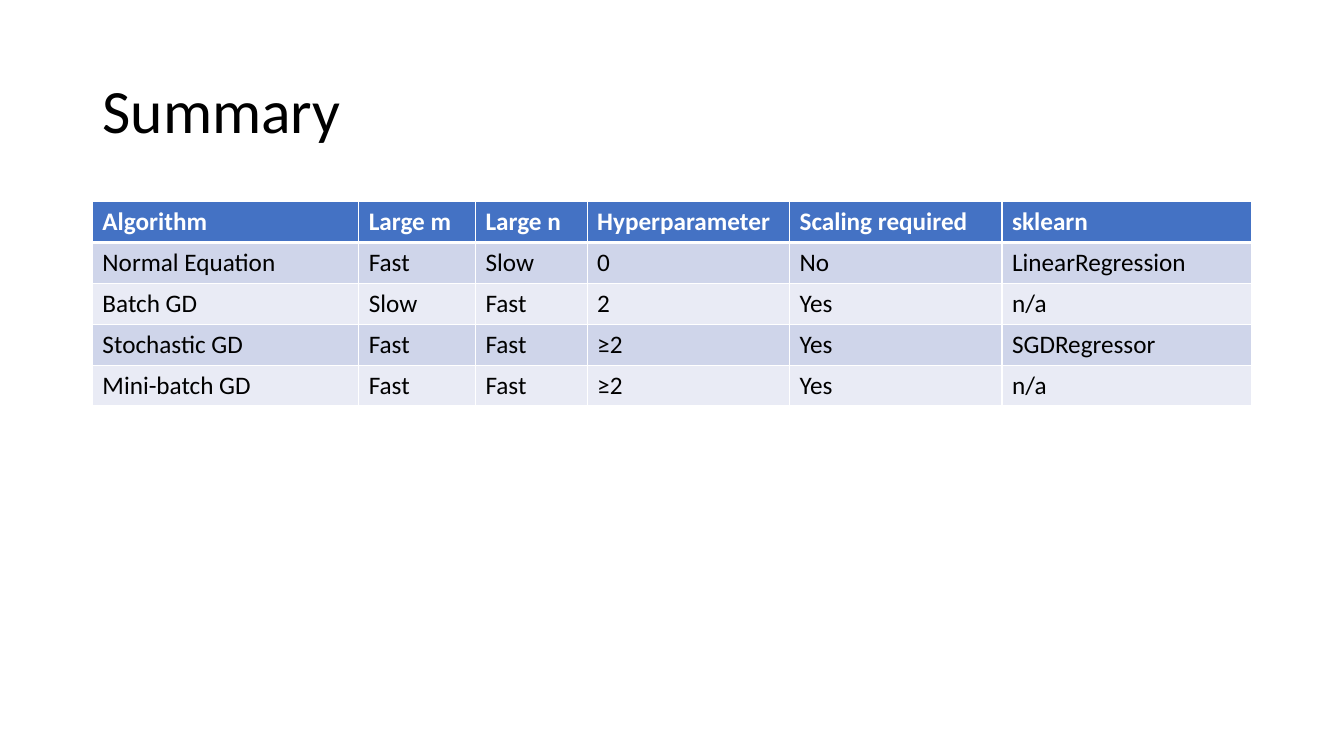
from dataclasses import dataclass

from lxml import etree
from pptx import Presentation
from pptx.dml.color import RGBColor
from pptx.enum.text import MSO_ANCHOR, MSO_AUTO_SIZE, PP_ALIGN
from pptx.oxml.ns import qn
from pptx.util import Inches, Pt

LEFT = PP_ALIGN.LEFT
MIDDLE = MSO_ANCHOR.MIDDLE
NO_FIT = MSO_AUTO_SIZE.NONE
TITLE_ONLY = 5


@dataclass(frozen=True)
class Theme:
    font: str = "Calibri"
    title_size: int = 44
    table_size: int = 18
    text: str = "000000"
    white: str = "FFFFFF"
    header: str = "4472C4"
    bands: tuple = ("CFD5EA", "E9EBF5")
    thin: int = 1
    thick: int = 3


def write(tf, text, *, font, size, color, bold=False, spacing=None):
    """Fill a text frame with one left-aligned, formatted paragraph."""
    p = tf.paragraphs[0]
    p.alignment = LEFT
    if spacing:
        p.line_spacing = spacing
    r = p.add_run()
    r.text = text
    r.font.name = font
    r.font.size = Pt(size)
    r.font.bold = bold
    r.font.color.rgb = RGBColor.from_string(color)


def add_border(cell, side, color, width):
    """Draw one side of a cell; call before the cell's fill is set."""
    tcPr = cell._tc.get_or_add_tcPr()
    ln = etree.SubElement(tcPr, qn(f"a:ln{side}"), w=str(Pt(width)))
    fill = etree.SubElement(ln, qn("a:solidFill"))
    etree.SubElement(fill, qn("a:srgbClr"), val=color)


class Deck:
    """Style and current slide, measured on a grid of 160 columns by 90 rows."""

    COLUMNS, ROWS = 160, 90

    def __init__(self, prs, theme):
        self.prs, self.theme = prs, theme
        self.slide = prs.slides.add_slide(prs.slide_layouts[TITLE_ONLY])

    def x(self, columns):
        return round(self.prs.slide_width * columns / self.COLUMNS)

    def y(self, rows):
        return round(self.prs.slide_height * rows / self.ROWS)

    def title(self, text, left, top, width, height):
        sp = self.slide.shapes.title
        sp.left, sp.top = self.x(left), self.y(top)
        sp.width, sp.height = self.x(width), self.y(height)
        tf = sp.text_frame
        tf.auto_size = NO_FIT
        tf.vertical_anchor = MIDDLE
        write(tf, text, font=self.theme.font, size=self.theme.title_size,
              color=self.theme.text, spacing=0.9)

    def table(self, rows, left, top, widths, row_height):
        frame = self.slide.shapes.add_table(
            len(rows), len(widths), self.x(left), self.y(top),
            self.x(sum(widths)), self.y(row_height * len(rows)))
        table = frame.table
        for column, width in zip(table.columns, widths):
            column.width = self.x(width)
        for i, values in enumerate(rows):
            table.rows[i].height = self.y(row_height)
            for j, value in enumerate(values):
                self.cell(table.cell(i, j), value, i)

    def cell(self, cell, text, row):
        th = self.theme
        is_header = row == 0
        # Borders: a thick rule lies between the header and the first row
        thick_side = {0: "B", 1: "T"}.get(row)
        for side in "LRTB":
            add_border(cell, side, th.white,
                       th.thick if side == thick_side else th.thin)
        # Fill and text
        fill = th.header if is_header else th.bands[(row - 1) % 2]
        cell.fill.solid()
        cell.fill.fore_color.rgb = RGBColor.from_string(fill)
        write(cell.text_frame, text, font=th.font, size=th.table_size,
              color=th.white if is_header else th.text, bold=is_header)


ALGORITHMS = [
    ("Algorithm", "Large m", "Large n", "Hyperparameter", "Scaling required", "sklearn"),
    ("Normal Equation", "Fast", "Slow", "0", "No", "LinearRegression"),
    ("Batch GD", "Slow", "Fast", "2", "Yes", "n/a"),
    ("Stochastic GD", "Fast", "Fast", "≥2", "Yes", "SGDRegressor"),
    ("Mini-batch GD", "Fast", "Fast", "≥2", "Yes", "n/a"),
]
COLUMN_WIDTHS = (31.7, 13.9, 13.3, 24.1, 25.3, 29.7)
MARGIN = 11


def main():
    prs = Presentation()
    prs.slide_width, prs.slide_height = Inches(13.33), Inches(7.5)
    deck = Deck(prs, Theme())

    # Title
    deck.title("Summary", MARGIN, 4.8, Deck.COLUMNS - 2 * MARGIN, 17.4)

    # Comparison of algorithms
    deck.table(ALGORITHMS, MARGIN, 24, COLUMN_WIDTHS, row_height=4.87)

    prs.save("out.pptx")


if __name__ == "__main__":
    main()
